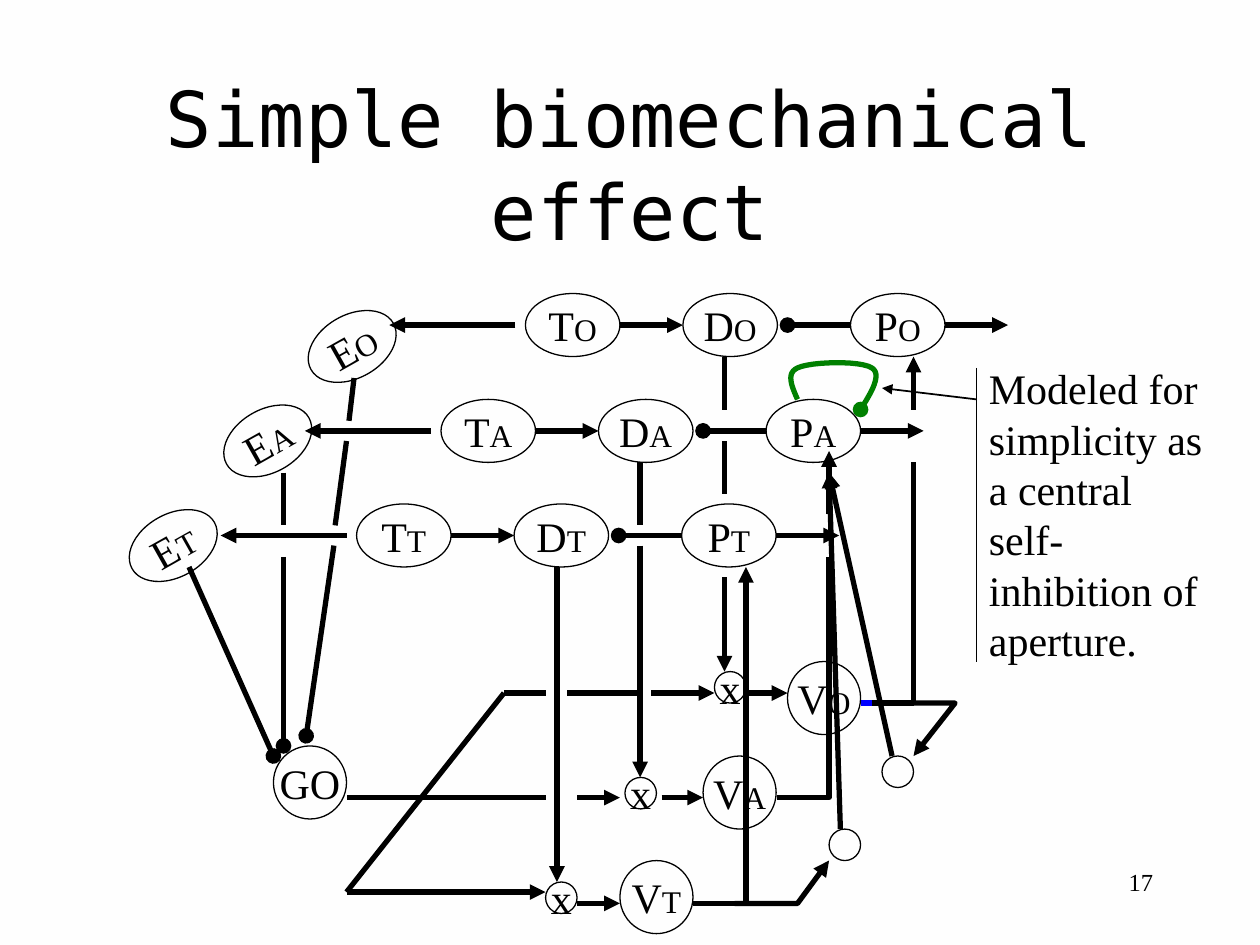
from lxml import etree
from pptx import Presentation
from pptx.dml.color import RGBColor
from pptx.enum import shapes, text
from pptx.oxml.ns import qn
from pptx.util import Inches, Pt

BLACK, GREEN, BLUE = "000000", "008000", "0000FF"
SERIF, MONO = "Times New Roman", "DejaVu Sans Mono"
NODE, VELOCITY, SMALL = (0.75, 0.5), (0.58, 0.58), (0.25, 0.25)
TILT = 330.6

# letter, left and top of its T node, then corners of its E, V and multiplier nodes
CHANNELS = [
    ("O", (4.17, 2.33), (2.42, 2.5), (6.25, 5.25), (5.67, 5.33)),
    ("A", (3.5, 3.17), (1.75, 3.25), (5.58, 6), (4.96, 6.17)),
    ("T", (2.83, 4), (1, 4.08), (4.92, 6.83), (4.33, 7)),
]
CHANNEL_NODES = [("T", 0), ("D", 1.25), ("P", 2.58)]
# start and end offset from the T node, head, tail
CHANNEL_LINKS = [
    (-0.08, -1.08, None, "triangle"),
    (0.75, 1.25, None, "triangle"),
    (2.08, 2.58, "oval", None),
    (3.33, 3.83, None, "triangle"),
]
RELAYS = [(7, 6), (6.58, 6.58)]

# start, end, tail
LINKS = [
    # E nodes to GO
    ((1.5, 4.5), (2.17, 6), "oval"),
    ((2.25, 3.75), (2.25, 4.17), None),
    ((2.25, 4.42), (2.25, 5.92), "oval"),
    ((2.81, 3), (2.77, 3.34), None),
    ((2.75, 3.5), (2.66, 4.17), None),
    ((2.65, 4.33), (2.43, 5.84), "oval"),
    # D nodes to multipliers
    ((5.75, 2.83), (5.75, 3.25), None),
    ((5.75, 3.5), (5.75, 3.92), None),
    ((5.75, 4.58), (5.75, 5.33), "triangle"),
    ((5.08, 3.67), (5.08, 4.17), None),
    ((5.08, 4.33), (5.08, 6.17), "triangle"),
    ((4.42, 4.5), (4.42, 7), "triangle"),
    # GO to multipliers
    ((4.33, 6.33), (2.75, 6.33), None),
    ((4.58, 6.33), (4.92, 6.33), "triangle"),
    ((2.75, 7.08), (4.33, 7.08), "triangle"),
    ((2.75, 7.08), (4, 5.5), None),
    ((4.33, 5.5), (4, 5.5), None),
    ((5.08, 5.5), (4.5, 5.5), None),
    ((5.17, 5.5), (5.67, 5.5), "triangle"),
    # multipliers to V nodes
    ((5.92, 5.5), (6.25, 5.5), "triangle"),
    ((5.25, 6.33), (5.58, 6.33), "triangle"),
    ((4.58, 7.17), (4.92, 7.17), "triangle"),
    # V nodes and relays to P nodes
    ((6.92, 5.58), (7.25, 5.58), None),
    ((7.25, 3.67), (7.25, 5.58), None),
    ((7.25, 3.25), (7.25, 2.83), "triangle"),
    ((7.08, 6), (6.58, 3.75), "triangle"),
    ((6.67, 6.58), (6.58, 3.75), "triangle"),
    ((6.58, 4.08), (6.58, 3.58), "triangle"),
]
PATHS = [
    ([(5.83, 7.17), (6.33, 7.17), (6.58, 6.83)], "triangle"),
    ([(7.17, 5.58), (7.58, 5.58), (7.25, 6)], "triangle"),
    ([(6.17, 6.33), (6.58, 6.33), (6.58, 4.42)], None),
    ([(5.5, 7.17), (5.92, 7.17), (5.92, 4.5)], "triangle"),
]
# start, then two control points and an end for each curve
INHIBITION_LOOP = [
    (6.33, 3.17),
    (6.28, 3.06), (6.24, 2.96), (6.33, 2.92),
    (6.43, 2.87), (6.83, 2.86), (6.92, 2.92),
    (7, 2.97), (6.92, 3.11), (6.83, 3.25),
]

presentation = Presentation()
presentation.slide_width, presentation.slide_height = Inches(10), Inches(7.5)
slide = presentation.slides.add_slide(presentation.slide_layouts[6])


def color(value):
    return RGBColor.from_string(value)


def write(shape, runs, font=SERIF, align=text.PP_ALIGN.CENTER,
          anchor=text.MSO_ANCHOR.MIDDLE, wrap=False):
    """Fill a shape with one paragraph of (words, size) runs."""
    frame = shape.text_frame
    frame.word_wrap, frame.vertical_anchor = wrap, anchor
    paragraph = frame.paragraphs[0]
    paragraph.alignment = align
    for words, size in runs:
        run = paragraph.add_run()
        run.text = words
        run.font.name, run.font.size = font, Pt(size)
        run.font.color.rgb = color(BLACK)


def add_text(at, words, size, **style):
    box = slide.shapes.add_textbox(*map(Inches, at))
    write(box, [(words, size)], wrap=True, **style)


def add_node(corner, size, runs=(), rotation=0):
    node = slide.shapes.add_shape(shapes.MSO_SHAPE.OVAL, *map(Inches, corner + size))
    node.shadow.inherit = False
    node.fill.background()
    node.line.color.rgb, node.line.width = color(BLACK), Pt(0.75)
    node.rotation = rotation
    write(node, runs)


def style_line(shape, line_color, width, head, tail):
    shape.line.color.rgb, shape.line.width = color(line_color), Pt(width)
    for tag, end in (("a:headEnd", head), ("a:tailEnd", tail)):
        if end:
            etree.SubElement(shape.line._get_or_add_ln(), qn(tag), type=end)


def add_link(start, end, tail=None, head=None, line_color=BLACK, width=3):
    link = slide.shapes.add_connector(
        shapes.MSO_CONNECTOR.STRAIGHT, *map(Inches, start + end))
    style_line(link, line_color, width, head, tail)
    etree.SubElement(link._element.spPr, qn("a:effectLst"))


def add_path(points, tail=None, line_color=BLACK):
    points = [(Inches(x), Inches(y)) for x, y in points]
    builder = slide.shapes.build_freeform(*points[0])
    builder.add_line_segments(points[1:], close=False)
    path = builder.convert_to_shape()
    path.shadow.inherit = False
    path.fill.background()
    style_line(path, line_color, 3, None, tail)


def sample_curves(points, steps=12):
    """Turn chained cubic curves into a list of points."""
    sampled = [points[0]]
    for first in range(0, len(points) - 1, 3):
        curve = points[first:first + 4]
        for step in range(1, steps + 1):
            t = step / steps
            weights = ((1 - t) ** 3, 3 * t * (1 - t) ** 2, 3 * t * t * (1 - t), t ** 3)
            sampled.append(tuple(
                sum(w * point[axis] for w, point in zip(weights, curve))
                for axis in (0, 1)))
    return sampled


background = slide.background.fill
background.gradient()
background.gradient_angle = 270
for stop, stop_color in zip(background.gradient_stops, ("FEFEFE", "FFFFFF")):
    stop.color.rgb = color(stop_color)

add_text((0.75, 0.67, 8.5, 1.25), "Simple biomechanical effect", 44, font=MONO)
add_path(sample_curves(INHIBITION_LOOP), "oval", GREEN)

add_link((6.83, 5.58), (7.17, 5.58), line_color=BLUE)
for link in LINKS:
    add_link(*link)
for path in PATHS:
    add_path(*path)

add_node((2.17, 5.92), VELOCITY, [("GO", 24)])
for corner in RELAYS:
    add_node(corner, SMALL)
for letter, (left, top), error, velocity, multiplier in CHANNELS:
    add_node(error, NODE, [("E", 24), (letter, 18)], TILT)
    add_node(velocity, VELOCITY, [("V", 24), (letter, 18)])
    add_node(multiplier, SMALL, [("x", 24)])
    for name, offset in CHANNEL_NODES:
        add_node((left + offset, top), NODE, [(name, 24), (letter, 18)])
    middle = top + NODE[1] / 2
    for start, end, head, tail in CHANNEL_LINKS:
        add_link((left + start, middle), (left + end, middle), tail, head)

add_text((7.75, 2.83, 1.92, 2.5),
         "Modeled for simplicity as a central self-inhibition of aperture.", 24,
         align=text.PP_ALIGN.LEFT, anchor=text.MSO_ANCHOR.TOP)
add_link((7.75, 2.92), (7.75, 5.25), width=1)
add_link((7.75, 3.17), (7, 3.08), "triangle", width=1)
add_text((7.17, 6.83, 2.08, 0.5), "17", 14,
         align=text.PP_ALIGN.RIGHT, anchor=text.MSO_ANCHOR.TOP)

presentation.save("out.pptx")
